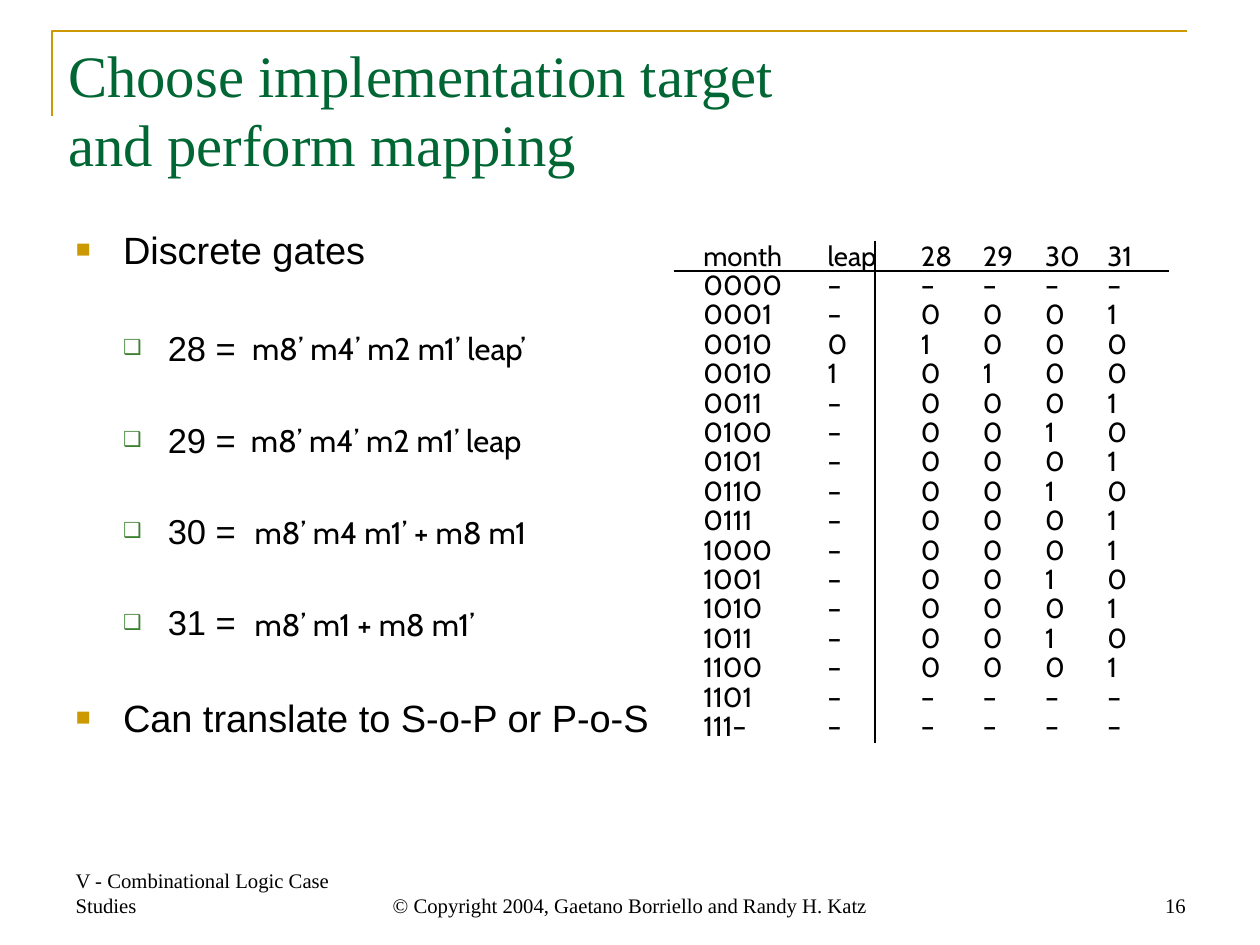
from lxml.etree import SubElement
from pptx import Presentation
from pptx.dml.color import RGBColor
from pptx.enum.shapes import MSO_CONNECTOR
from pptx.enum.text import MSO_ANCHOR, MSO_AUTO_SIZE, PP_ALIGN
from pptx.oxml.ns import qn
from pptx.util import Inches, Pt

# Slide of 730 points across, in the ratio 4 to 3
SLIDE_WIDTH = 730 / 72
SLIDE_HEIGHT = SLIDE_WIDTH * 3 / 4

BLACK = RGBColor(0x00, 0x00, 0x00)
GOLD = RGBColor(0xCC, 0x99, 0x00)
LEAF = RGBColor(0x3B, 0x81, 0x2F)
GREEN = RGBColor(0x00, 0x66, 0x33)
SERIF, SANS, ROUND = "Times New Roman", "Arial", "Cabin"

# Level: bullet, bullet colour, bullet size %, left margin, hanging indent, text size
LEVELS = [("■", GOLD, 65, 0.38, 0.38, 22), ("❑", LEAF, 60, 0.74, 0.36, 20)]

# Text, level, space before
TARGETS = [
    ("Discrete gates", 0, 0),
    ("28 =", 1, 32),
    ("29 =", 1, 29),
    ("30 =", 1, 29),
    ("31 =", 1, 29),
    ("Can translate to S-o-P or P-o-S", 0, 30),
]

# Expression, left, width
EXPRESSIONS = [
    ("m8’ m4’ m2 m1’ leap’", 1.93, 2.64),
    ("m8’ m4’ m2 m1’ leap", 1.92, 2.6),
    ("m8’ m4 m1’ + m8 m1", 1.95, 2.64),
    ("m8’ m1 + m8 m1’", 1.95, 2.2),
]

TRUTH_TABLE = """month leap 28 29 30 31
0000 – – – – –
0001 – 0 0 0 1
0010 0 1 0 0 0
0010 1 0 1 0 0
0011 – 0 0 0 1
0100 – 0 0 1 0
0101 – 0 0 0 1
0110 – 0 0 1 0
0111 – 0 0 0 1
1000 – 0 0 0 1
1001 – 0 0 1 0
1010 – 0 0 0 1
1011 – 0 0 1 0
1100 – 0 0 0 1
1101 – – – – –
111– – – – – –"""
COLUMN_WIDTHS = [1, 0.75, 0.5, 0.5, 0.5, 0.5]
ROW_POINTS = 17


def add_run(paragraph, text, size, typeface, color=BLACK):
    run = paragraph.add_run()
    run.text = text
    run.font.size = Pt(size)
    run.font.name = typeface
    run.font.color.rgb = color


def place(shape, left, top, width, height):
    shape.left, shape.top = Inches(left), Inches(top)
    shape.width, shape.height = Inches(width), Inches(height)


def add_label(slide, text, box, size, typeface, anchor=MSO_ANCHOR.TOP, align=PP_ALIGN.LEFT):
    label = slide.shapes.add_textbox(*[Inches(length) for length in box]).text_frame
    label.word_wrap = True
    label.vertical_anchor = anchor
    label.paragraphs[0].alignment = align
    add_run(label.paragraphs[0], text, size, typeface)


def add_rule(slide, x1, y1, x2, y2):
    rule = slide.shapes.add_connector(
        MSO_CONNECTOR.STRAIGHT, Inches(x1), Inches(y1), Inches(x2), Inches(y2))
    rule.line.color.rgb = BLACK
    rule.line.width = Pt(1)
    SubElement(rule._element.spPr, qn("a:effectLst"))


def add_corner(slide):
    outline = slide.shapes.build_freeform(Inches(0.42), Inches(0.93))
    outline.add_line_segments(
        [(Inches(0.42), Inches(0.25)), (Inches(9.55), Inches(0.25))], close=False)
    corner = outline.convert_to_shape()
    corner.shadow.inherit = False
    corner.fill.background()
    corner.line.color.rgb = GOLD
    corner.line.width = Pt(1.5)


def set_bullet(paragraph, level):
    char, color, percent, margin, hanging, _ = LEVELS[level]
    paragraph.level = level
    properties = paragraph._p.get_or_add_pPr()
    properties.set("marL", str(Inches(margin)))
    properties.set("indent", str(-Inches(hanging)))
    SubElement(SubElement(properties, qn("a:buClr")), qn("a:srgbClr"), val=str(color))
    SubElement(properties, qn("a:buSzPct"), val=str(percent * 1000))
    SubElement(properties, qn("a:buFont"), typeface=SANS)
    SubElement(properties, qn("a:buChar"), char=char)


def fill_title(title):
    place(title, 0.45, 0.27, 9.12, 1.25)
    frame = title.text_frame
    frame.auto_size = MSO_AUTO_SIZE.NONE
    frame.vertical_anchor = MSO_ANCHOR.TOP
    heading = frame.paragraphs[0]
    heading.alignment = PP_ALIGN.LEFT
    heading.line_spacing = Pt(40)
    add_run(heading, "Choose implementation target", 34, SERIF, GREEN)
    heading.add_line_break()
    add_run(heading, "and perform mapping", 34, SERIF, GREEN)


def fill_targets(body):
    place(body, 0.51, 1.77, 9.12, 5.02)
    frame = body.text_frame
    frame.auto_size = MSO_AUTO_SIZE.NONE
    for index, (text, level, space) in enumerate(TARGETS):
        item = frame.add_paragraph() if index else frame.paragraphs[0]
        set_bullet(item, level)
        item.space_before = Pt(space)
        add_run(item, text, LEVELS[level][-1], SANS)


def add_truth_table(slide):
    rows = [line.split() for line in TRUTH_TABLE.splitlines()]
    row_height = ROW_POINTS / 72
    table = slide.shapes.add_table(
        len(rows), len(COLUMN_WIDTHS), Inches(5.66), Inches(1.96),
        Inches(sum(COLUMN_WIDTHS)), Inches(row_height * len(rows))).table
    table.first_row = table.horz_banding = False
    for column, width in zip(table.columns, COLUMN_WIDTHS):
        column.width = Inches(width)
    for r, values in enumerate(rows):
        table.rows[r].height = Inches(row_height)
        for c, value in enumerate(values):
            cell = table.cell(r, c)
            cell.fill.background()
            cell.margin_left = cell.margin_right = Inches(0)
            cell.margin_top = cell.margin_bottom = Inches(0)
            entry = cell.text_frame.paragraphs[0]
            entry.line_spacing = Pt(ROW_POINTS)
            add_run(entry, value, 16, ROUND)
    # Rules below the header and between inputs and outputs
    add_rule(slide, 5.42, 2.18, 9.41, 2.18)
    add_rule(slide, 7.04, 1.94, 7.04, 5.98)


def add_footer(slide, text, left, width, align):
    add_label(slide, text, (left, 6.92, width, 0.51), 12, SERIF, MSO_ANCHOR.BOTTOM, align)


def main():
    deck = Presentation()
    deck.slide_width, deck.slide_height = Inches(SLIDE_WIDTH), Inches(SLIDE_HEIGHT)
    slide = deck.slides.add_slide(deck.slide_layouts[1])

    # Heading and list
    add_corner(slide)
    fill_title(slide.shapes.title)
    fill_targets(slide.placeholders[1])

    # Gate expressions beside the list
    for index, (expression, left, width) in enumerate(EXPRESSIONS):
        add_label(slide, expression, (left, 2.6 + 0.74 * index, width, 0.4), 18, ROUND)

    add_truth_table(slide)

    # Footer
    add_footer(slide, "V - Combinational Logic Case Studies", 0.51, 2.37, PP_ALIGN.LEFT)
    add_footer(slide, "© Copyright 2004, Gaetano Borriello and Randy H. Katz",
               2.96, 4.22, PP_ALIGN.CENTER)
    add_footer(slide, "16", 7.27, 2.37, PP_ALIGN.RIGHT)

    deck.save("out.pptx")


if __name__ == "__main__":
    main()
